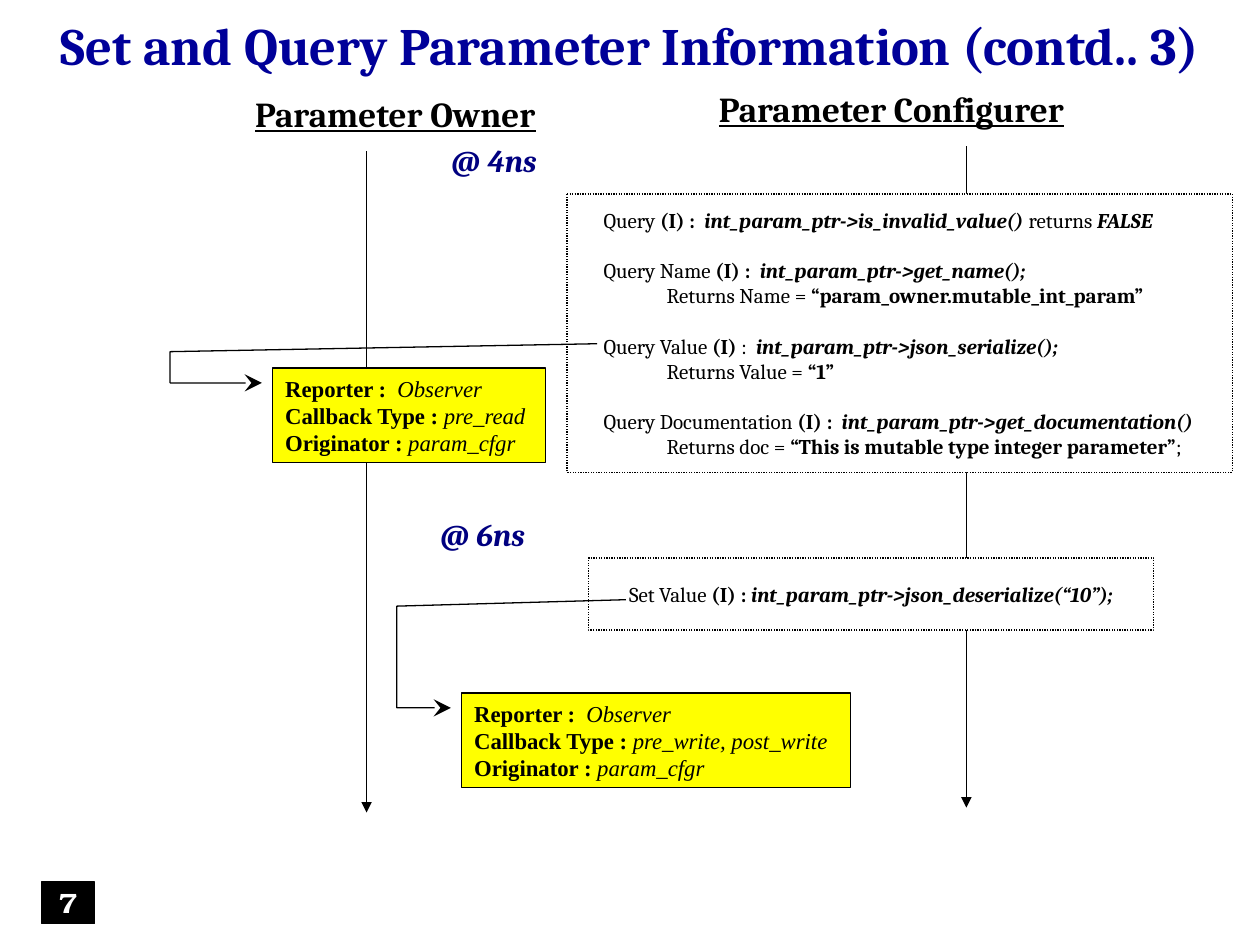
from dataclasses import dataclass

from lxml.etree import SubElement
from pptx import Presentation
from pptx.dml.color import RGBColor
from pptx.enum.dml import MSO_LINE
from pptx.enum.shapes import MSO_CONNECTOR, MSO_SHAPE
from pptx.enum.text import MSO_ANCHOR, PP_ALIGN
from pptx.oxml.ns import qn
from pptx.util import Cm, Pt

BLACK, WHITE, YELLOW = "000000", "FFFFFF", "FFFF00"
TITLE_BLUE, TIME_BLUE = "000099", "000080"
LINE_WIDTH = Pt(0.75)
TAB_STOP = Cm(1.27)
QUERY_GAP = 14.4


@dataclass
class Span:
    text: str
    bold: bool = False
    italic: bool = False


@dataclass
class Area:
    left: float
    top: float
    width: float
    height: float

    def lengths(self) -> list:
        return [Cm(value) for value in (self.left, self.top, self.width, self.height)]


@dataclass
class Lifeline:
    heading: str
    area: Area
    x: float
    top: float
    bottom: float


@dataclass
class Callout:
    area: Area
    callback_type: str
    bend_x: float
    bend_y: float
    source: tuple


def color(value: str) -> RGBColor:
    return RGBColor.from_string(value)


def plain(text: str) -> Span:
    return Span(text)


def bold(text: str) -> Span:
    return Span(text, bold=True)


def italic(text: str) -> Span:
    return Span(text, italic=True)


def strong(text: str) -> Span:
    return Span(text, bold=True, italic=True)


def write(box, lines: list, size: float = 12, font: str = "Cambria", ink: str = BLACK,
          align=PP_ALIGN.LEFT, anchor=MSO_ANCHOR.MIDDLE, underline: bool = False,
          spacing: float = 1.0, gaps: tuple = (), inset: float = 0.25) -> None:
    """Write lines of spans; gaps lists the lines that get space before them."""
    frame = box.text_frame
    frame.word_wrap = True
    frame.vertical_anchor = anchor
    frame.margin_left, frame.margin_right = Cm(inset), Cm(0.25)
    frame.margin_top = frame.margin_bottom = Cm(0.13)
    for number, line in enumerate(lines):
        para = frame.add_paragraph() if number else frame.paragraphs[0]
        para.alignment = align
        if spacing != 1.0:
            para.line_spacing = spacing
        if number in gaps:
            para.space_before = Pt(QUERY_GAP)
        if line[0].text.startswith("\t"):
            tabs = SubElement(para._p.get_or_add_pPr(), qn("a:tabLst"))
            SubElement(tabs, qn("a:tab"), pos=str(TAB_STOP), algn="l")
        for span in line:
            run = para.add_run()
            run.text = span.text
            run.font.size, run.font.name = Pt(size), font
            run.font.bold, run.font.italic = span.bold, span.italic
            run.font.underline = underline
            run.font.color.rgb = color(ink)


def set_line(shape, arrow_end: str = "", arrow: str = "", arrow_size: str = "med") -> None:
    shape.line.color.rgb = color(BLACK)
    shape.line.width = LINE_WIDTH
    if arrow:
        SubElement(shape.line._get_or_add_ln(), qn(arrow_end),
                   type=arrow, w=arrow_size, len=arrow_size)


def add_box(page, area: Area, fill: str = WHITE, outlined: bool = False,
            dotted: bool = False, rounded: bool = True):
    kind = MSO_SHAPE.ROUNDED_RECTANGLE if rounded else MSO_SHAPE.RECTANGLE
    box = page.shapes.add_shape(kind, *area.lengths())
    if rounded:
        box.adjustments[0] = 0
    box.shadow.inherit = False
    box.fill.solid()
    box.fill.fore_color.rgb = color(fill)
    if outlined:
        set_line(box)
        if dotted:
            box.line.dash_style = MSO_LINE.ROUND_DOT
    else:
        box.line.fill.background()
    return box


def add_lifeline(page, lifeline: Lifeline) -> None:
    write(add_box(page, lifeline.area), [[bold(lifeline.heading)]], size=20,
          align=PP_ALIGN.CENTER, underline=True)
    x = Cm(lifeline.x)
    arrow = page.shapes.add_connector(MSO_CONNECTOR.STRAIGHT, x, Cm(lifeline.top),
                                      x, Cm(lifeline.bottom))
    set_line(arrow, "a:tailEnd", "triangle")
    SubElement(arrow._element.spPr, qn("a:effectLst"))


def add_callout(page, callout: Callout) -> None:
    area = callout.area
    box = add_box(page, area, YELLOW, outlined=True, rounded=False)
    write(box, [
        [bold("Reporter :  "), italic("Observer")],
        [bold("Callback Type : "), italic(callout.callback_type)],
        [bold("Originator : "), italic("param_cfgr")],
    ], size=13, font="Times New Roman", anchor=MSO_ANCHOR.TOP)
    tip_x, tip_y = area.left - 0.22, area.top + 0.3
    bends = [(callout.bend_x, tip_y), (callout.bend_x, callout.bend_y), callout.source]
    builder = page.shapes.build_freeform(Cm(tip_x), Cm(tip_y))
    builder.add_line_segments([(Cm(x), Cm(y)) for x, y in bends], close=False)
    leader = builder.convert_to_shape()
    leader.fill.background()
    set_line(leader, "a:headEnd", "stealth", "lg")
    leader.shadow.inherit = False


def main() -> None:
    deck = Presentation()
    deck.slide_width, deck.slide_height = Cm(25.4), Cm(19.05)
    page = deck.slides.add_slide(deck.slide_layouts[6])

    # Headings and lifelines
    for lifeline in (
        Lifeline("Parameter Owner", Area(3.84, 1.65, 8.26, 1.27), 7.39, 3.05, 16.38),
        Lifeline("Parameter Configurer", Area(13.84, 1.55, 8.26, 1.27), 19.48, 2.95, 16.28),
    ):
        add_lifeline(page, lifeline)

    # Time marks
    for label, area in (("@ 4ns", Area(8.69, 2.82, 2.54, 0.79)),
                        ("@ 6ns", Area(8.46, 10.34, 2.54, 0.86))):
        write(add_box(page, area), [[strong(label)]], size=18, ink=TIME_BLUE,
              align=PP_ALIGN.CENTER)

    # Calls made by the configurer
    set_box = add_box(page, Area(11.86, 11.25, 11.4, 1.45), outlined=True, dotted=True)
    write(set_box, [[plain("Set Value "), bold("(I) : "),
                     strong("int_param_ptr->json_deserialize(“10”);")]],
          align=PP_ALIGN.CENTER)
    query_box = add_box(page, Area(11.43, 3.91, 13.41, 5.61), outlined=True, dotted=True)
    write(query_box, [
        [plain("Query "), bold("(I) :  "), strong("int_param_ptr->is_invalid_value() "),
         plain("returns "), strong("FALSE")],
        [plain("Query Name "), bold("(I) :  "), strong("int_param_ptr->get_name();")],
        [plain("\tReturns Name = "), bold("“param_owner.mutable_int_param”")],
        [plain("Query Value "), bold("(I)"), plain(" :  "),
         strong("int_param_ptr->json_serialize();")],
        [plain("\tReturns Value = "), bold("“1”")],
        [plain("Query Documentation "), bold("(I) :  "),
         strong("int_param_ptr->get_documentation()")],
        [plain("\tReturns doc = "), bold("“This is mutable type integer parameter”"),
         plain(";")],
    ], gaps=(1, 3, 5), inset=0.74)

    # Title
    title = page.shapes.add_textbox(*Area(0, 0.2, 25.4, 1.6).lengths())
    write(title, [[bold("Set and Query Parameter Information (contd.. 3)")]], size=30,
          ink=TITLE_BLUE, align=PP_ALIGN.CENTER, spacing=0.85)

    # Callbacks reported to the observer
    for callout in (
        Callout(Area(5.5, 7.42, 5.5, 1.9), "pre_read", 3.43, 7.09, (12.04, 6.93)),
        Callout(Area(9.31, 13.97, 7.83, 1.9), "pre_write, post_write", 8, 12.22,
                (12.62, 12.09)),
    ):
        add_callout(page, callout)

    # Page number
    number_box = add_box(page, Area(0.84, 17.78, 1.07, 0.84), BLACK, outlined=True,
                         rounded=False)
    write(number_box, [[bold("7")]], size=16, font="TeX Gyre Bonum", ink=WHITE,
          align=PP_ALIGN.CENTER)

    deck.save("out.pptx")


if __name__ == "__main__":
    main()
